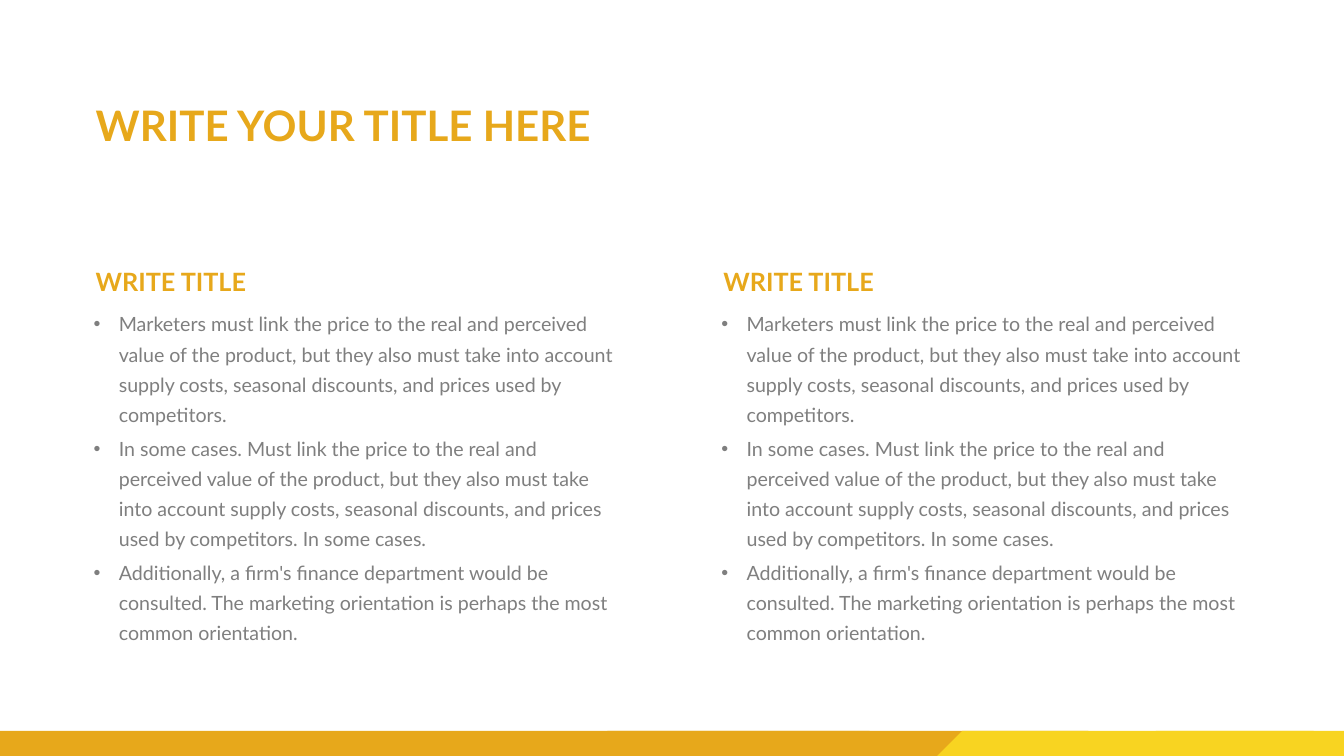
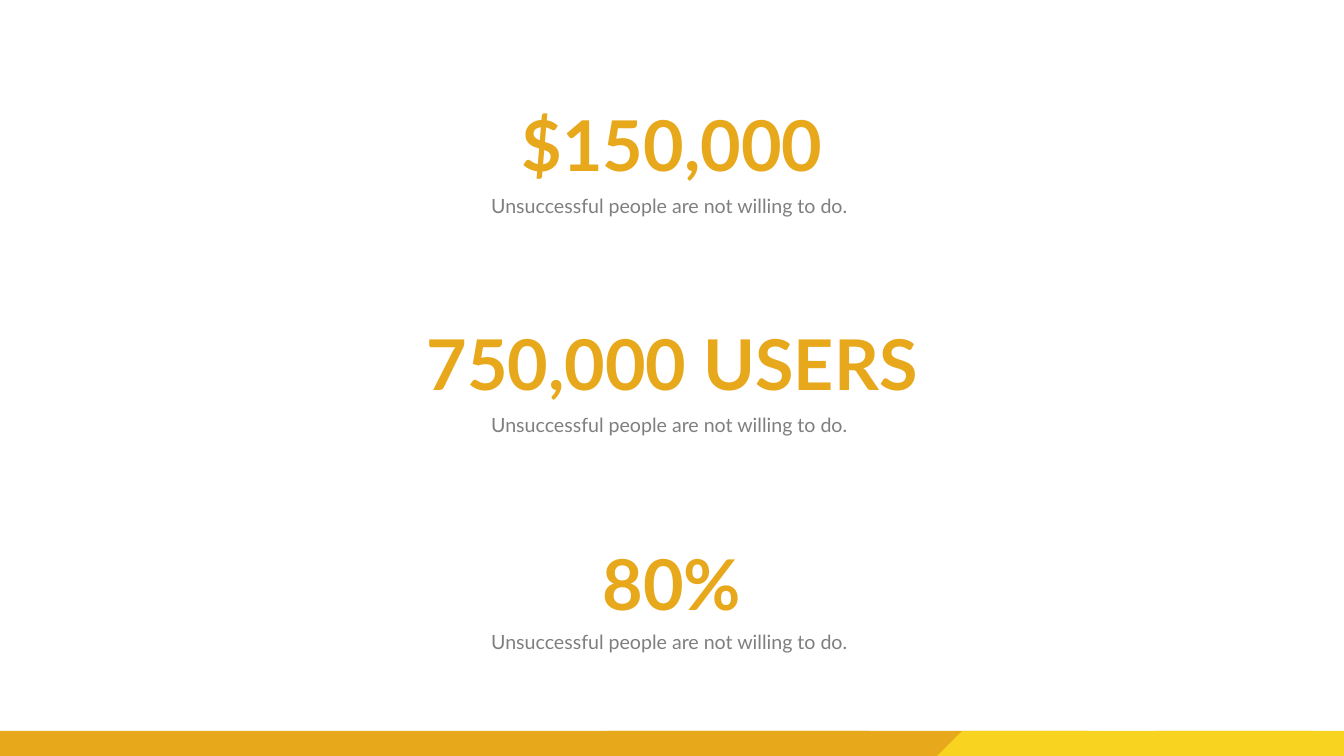
from lxml import etree
from pptx import Presentation
from pptx.dml.color import RGBColor
from pptx.enum.shapes import MSO_SHAPE
from pptx.enum.text import MSO_ANCHOR, MSO_AUTO_SIZE, PP_ALIGN
from pptx.oxml.ns import qn
from pptx.util import Cm, Pt

RECTANGLE, PARALLELOGRAM = MSO_SHAPE.RECTANGLE, MSO_SHAPE.PARALLELOGRAM
LEFT, CENTER = PP_ALIGN.LEFT, PP_ALIGN.CENTER
TOP = MSO_ANCHOR.TOP
GROW = MSO_AUTO_SIZE.SHAPE_TO_FIT_TEXT

# Shared style
FONT = "Lato"
GOLD, YELLOW, GREY = "E7A81B", "F8D421", "7F7F7F"
SLIDE_WIDTH, SLIDE_HEIGHT = 67.72, 38.1
BAND_HEIGHT = 1.27
MARGIN = 4.57
TITLE_ONLY, BLANK = 5, 6

# Band pieces: kind, left, width, colour, rotation
BAND = [
    (RECTANGLE, 0, 43.82, GOLD, 0),
    (PARALLELOGRAM, 29.34, 25.5, GOLD, 0),
    (RECTANGLE, 58.24, 9.48, YELLOW, 180),
    (PARALLELOGRAM, 47.22, 18.97, YELLOW, 180),
]

POINTS = [
    "Marketers must link the price to the real and perceived value of the product, "
    "but they also must take into account supply costs, seasonal discounts, "
    "and prices used by competitors.",
    "In some cases. Must link the price to the real and perceived value of the product, "
    "but they also must take into account supply costs, seasonal discounts, "
    "and prices used by competitors. In some cases.",
    "Additionally, a firm's finance department would be consulted. "
    "The marketing orientation is perhaps the most common orientation.",
]
COLUMN_STEP = 31.63

# Figure and the top of its caption
FIGURES = [("$150,000", 9.63), ("750,000 USERS", 20.68), ("80%", 31.62)]
FIGURE_STEP = 11.07
CAPTION = "Unsuccessful people are not willing to do. "


def color(value):
    return RGBColor.from_string(value)


def place(box, left, top, width, height):
    box.left, box.top, box.width, box.height = Cm(left), Cm(top), Cm(width), Cm(height)


def add_bullet(para):
    properties = para._p.get_or_add_pPr()
    properties.set("marL", str(Cm(1.27)))
    properties.set("indent", str(-Cm(1.27)))
    etree.SubElement(properties, qn("a:buFont"), typeface="Arial")
    etree.SubElement(properties, qn("a:buChar"), char="•")


def write(box, *texts, size, fill=GREY, bold=False, align=LEFT,
          bullets=False, line_spacing=None, space_before=0):
    """Fill a box with one paragraph per text."""
    frame = box.text_frame
    frame.word_wrap = True
    frame.auto_size = GROW
    frame.vertical_anchor = TOP
    for number, text in enumerate(texts):
        para = frame.add_paragraph() if number else frame.paragraphs[0]
        para.alignment = align
        para.space_before = Pt(space_before)
        if line_spacing:
            para.line_spacing = Pt(line_spacing)
        if bullets:
            add_bullet(para)
        span = para.add_run()
        span.text = text
        span.font.name = FONT
        span.font.size = Pt(size)
        span.font.bold = bold
        span.font.color.rgb = color(fill)


def add_text(page, left, top, width, height, *texts, **style):
    box = page.shapes.add_textbox(Cm(left), Cm(top), Cm(width), Cm(height))
    write(box, *texts, **style)
    return box


def add_title(page, text):
    title = page.shapes.title
    place(title, MARGIN, 4.88, 29.9, 2.82)
    write(title, text, size=60, fill=GOLD, bold=True)


def add_band(page):
    group = page.shapes.add_group_shape()
    for kind, left, width, fill, rotation in BAND:
        piece = group.shapes.add_shape(
            kind, Cm(left), Cm(SLIDE_HEIGHT - BAND_HEIGHT), Cm(width), Cm(BAND_HEIGHT))
        piece.shadow.inherit = False
        piece.fill.solid()
        piece.fill.fore_color.rgb = color(fill)
        piece.line.fill.background()
        piece.rotation = rotation
        if kind == PARALLELOGRAM:
            piece.adjustments[0] = 1


def add_column(page, offset):
    box = add_text(page, 4.11 + offset, 15.11, 27.8, 17.8, *POINTS, size=28,
                   bullets=True, line_spacing=43, space_before=5.6)
    frame = box.text_frame
    frame.margin_left = frame.margin_right = Cm(0.61)
    frame.margin_top = frame.margin_bottom = Cm(0.3)
    add_text(page, MARGIN + offset, 13.31, 15.27, 1.8, "WRITE TITLE",
             size=36, fill=GOLD, bold=True)


def build_columns(deck):
    page = deck.slides.add_slide(deck.slide_layouts[TITLE_ONLY])
    add_title(page, "WRITE YOUR TITLE HERE")
    for column in range(2):
        add_column(page, column * COLUMN_STEP)
    add_band(page)


def build_figures(deck):
    page = deck.slides.add_slide(deck.slide_layouts[BLANK])
    for row, (figure, caption_top) in enumerate(FIGURES):
        add_text(page, 14.91, 4.98 + row * FIGURE_STEP, 37.9, 4.52, figure,
                 size=100, fill=GOLD, bold=True, align=CENTER)
        add_text(page, 23.01, caption_top, 21.67, 1.45, CAPTION, size=28, align=CENTER)
    add_band(page)


def main():
    deck = Presentation()
    deck.slide_width, deck.slide_height = Cm(SLIDE_WIDTH), Cm(SLIDE_HEIGHT)
    build_columns(deck)
    build_figures(deck)
    deck.save("out.pptx")


if __name__ == "__main__":
    main()
